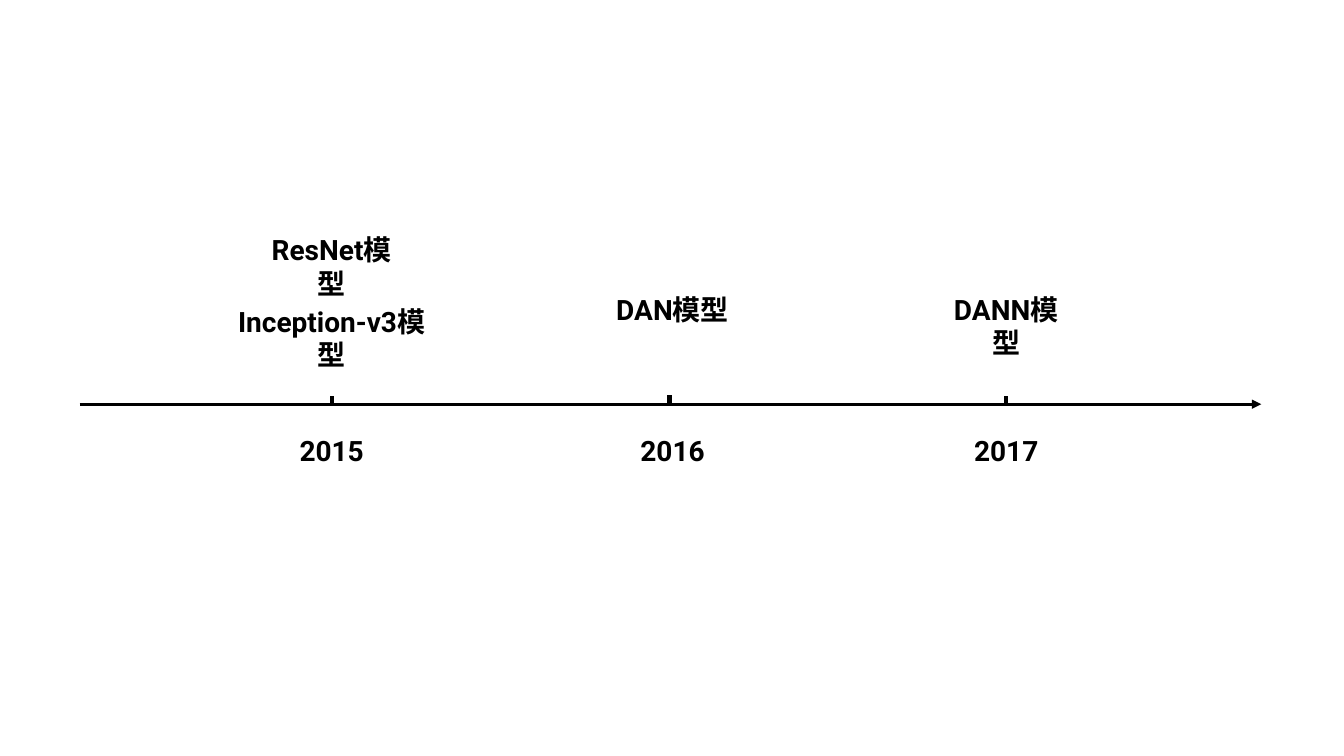
"""Build a timeline slide of transfer learning models by year."""
from dataclasses import dataclass

from lxml.etree import SubElement
from pptx import Presentation
from pptx.dml.color import RGBColor
from pptx.enum.shapes import MSO_CONNECTOR as Connector
from pptx.enum.text import MSO_AUTO_SIZE as AutoSize, PP_ALIGN as Align
from pptx.oxml.ns import qn
from pptx.slide import Slide
from pptx.util import Inches, Pt

BLACK = RGBColor(0x00, 0x00, 0x00)
FONT = "Roboto"
AXIS_Y = 4.01
YEAR_TOP = 4.25
LABEL_WIDTH = 1.49
LABEL_HEIGHT = 0.44
TICK_HEIGHT = 0.08


@dataclass(frozen=True)
class Model:
    name: str
    top: float
    width: float = LABEL_WIDTH


@dataclass(frozen=True)
class Milestone:
    year: str
    center: float
    tick_x: float
    models: tuple[Model, ...]
    tick_bottom: float = AXIS_Y


MILESTONES = (
    Milestone("2015", 3.29, 3.29, (
        Model("ResNet模型", 2.26, 1.59),
        Model("Inception-v3模型", 2.97, 2.26),
    )),
    Milestone("2016", 6.67, 6.64, (Model("DAN模型", 2.85),), tick_bottom=4),
    Milestone("2017", 9.98, 9.98, (Model("DANN模型", 2.85),)),
)


def add_label(slide: Slide, text: str, *, center: float, top: float,
              width: float = LABEL_WIDTH, size: float = 20, bold: bool = True,
              color: RGBColor = BLACK, align: Align = Align.CENTER) -> None:
    """Add a wrapping label centred on a horizontal position."""
    label = slide.shapes.add_textbox(
        Inches(center - width / 2), Inches(top), Inches(width), Inches(LABEL_HEIGHT))
    frame = label.text_frame
    frame.word_wrap = True
    frame.auto_size = AutoSize.SHAPE_TO_FIT_TEXT
    paragraph = frame.paragraphs[0]
    paragraph.alignment = align
    run = paragraph.add_run()
    run.text = text
    run.font.name = FONT
    run.font.size = Pt(size)
    run.font.bold = bold
    run.font.color.rgb = color


def add_line(slide: Slide, start: tuple[float, float], end: tuple[float, float],
             *, weight: float, arrow: bool = False) -> None:
    """Add a straight black line, with an arrowhead at its end if asked."""
    line = slide.shapes.add_connector(
        Connector.STRAIGHT, *map(Inches, start + end))
    line.line.color.rgb = BLACK
    line.line.width = Pt(weight)
    properties = line.element.spPr
    if arrow:
        SubElement(properties.find(qn("a:ln")), qn("a:tailEnd"), type="triangle")
    SubElement(properties, qn("a:effectLst"))


def add_milestone(slide: Slide, milestone: Milestone) -> None:
    """Add the models, tick and year of one milestone."""
    for model in milestone.models:
        add_label(slide, model.name, center=milestone.center,
                  top=model.top, width=model.width)
    add_line(slide, (milestone.tick_x, milestone.tick_bottom - TICK_HEIGHT),
             (milestone.tick_x, milestone.tick_bottom), weight=3)
    add_label(slide, milestone.year, center=milestone.center, top=YEAR_TOP)


def main() -> None:
    """Build and save the timeline."""
    deck = Presentation()
    deck.slide_width = Inches(13.33)
    deck.slide_height = Inches(7.5)
    slide = deck.slides.add_slide(deck.slide_layouts[6])
    add_line(slide, (0.79, AXIS_Y), (12.51, AXIS_Y), weight=2.25, arrow=True)
    for milestone in MILESTONES:
        add_milestone(slide, milestone)
    deck.save("out.pptx")


if __name__ == "__main__":
    main()
